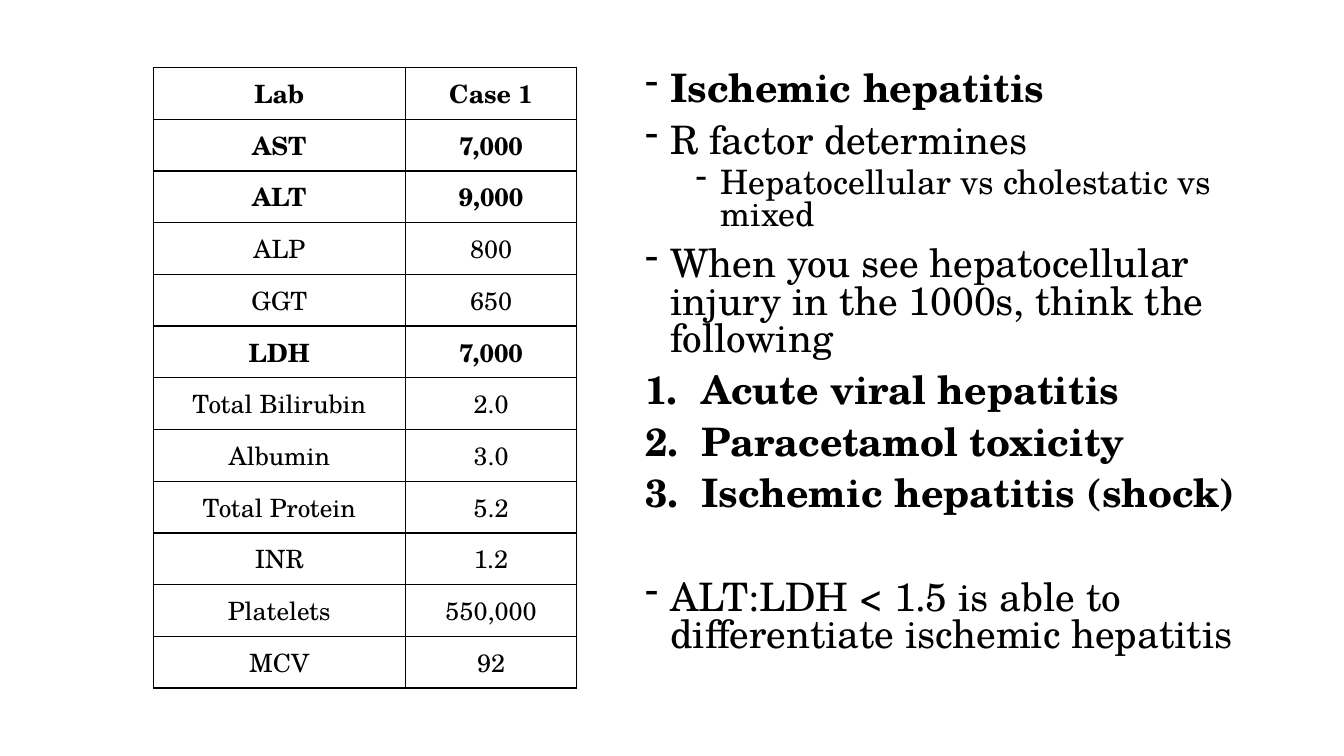
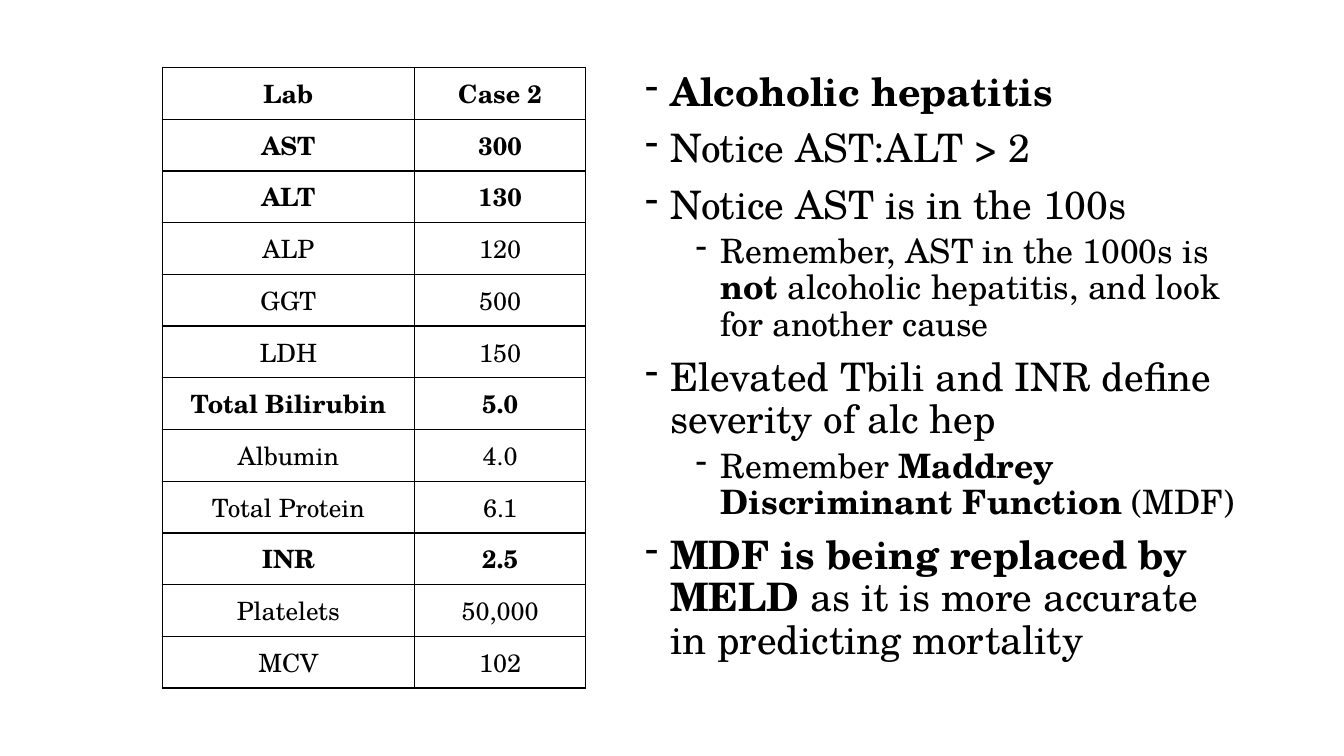
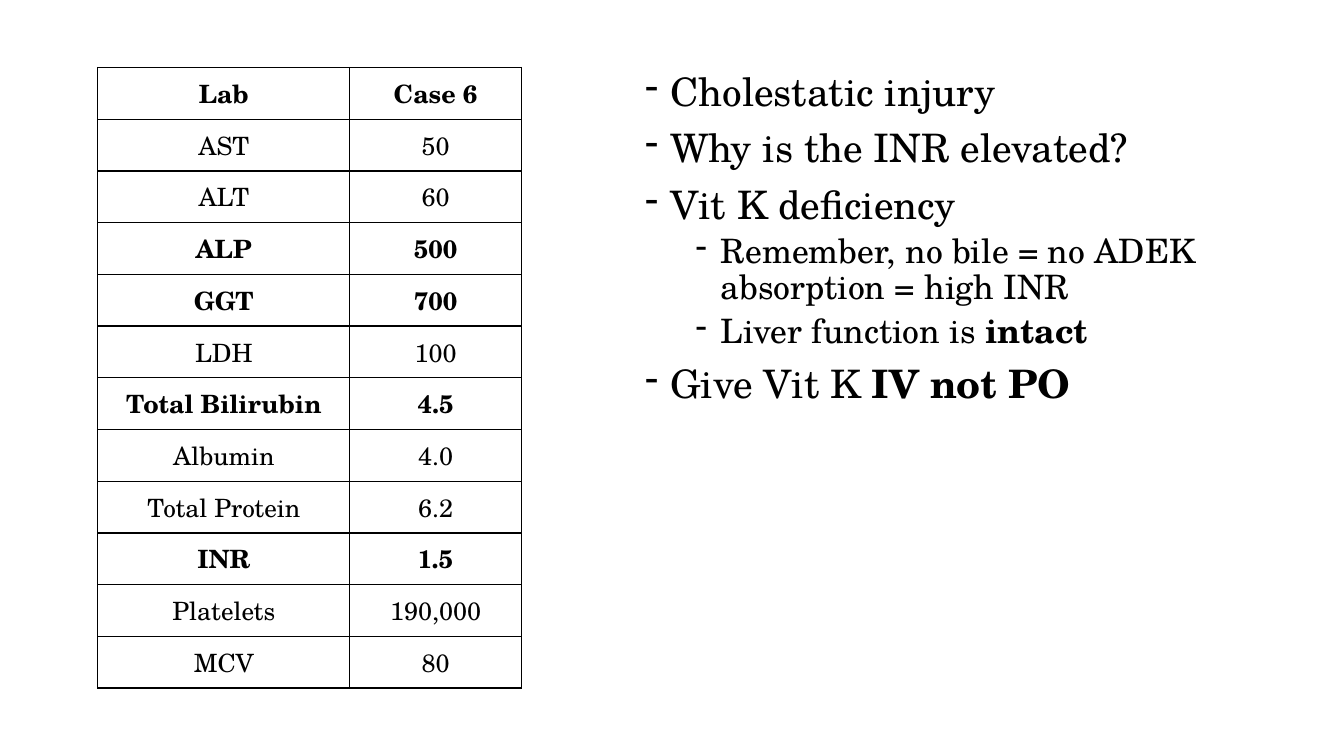
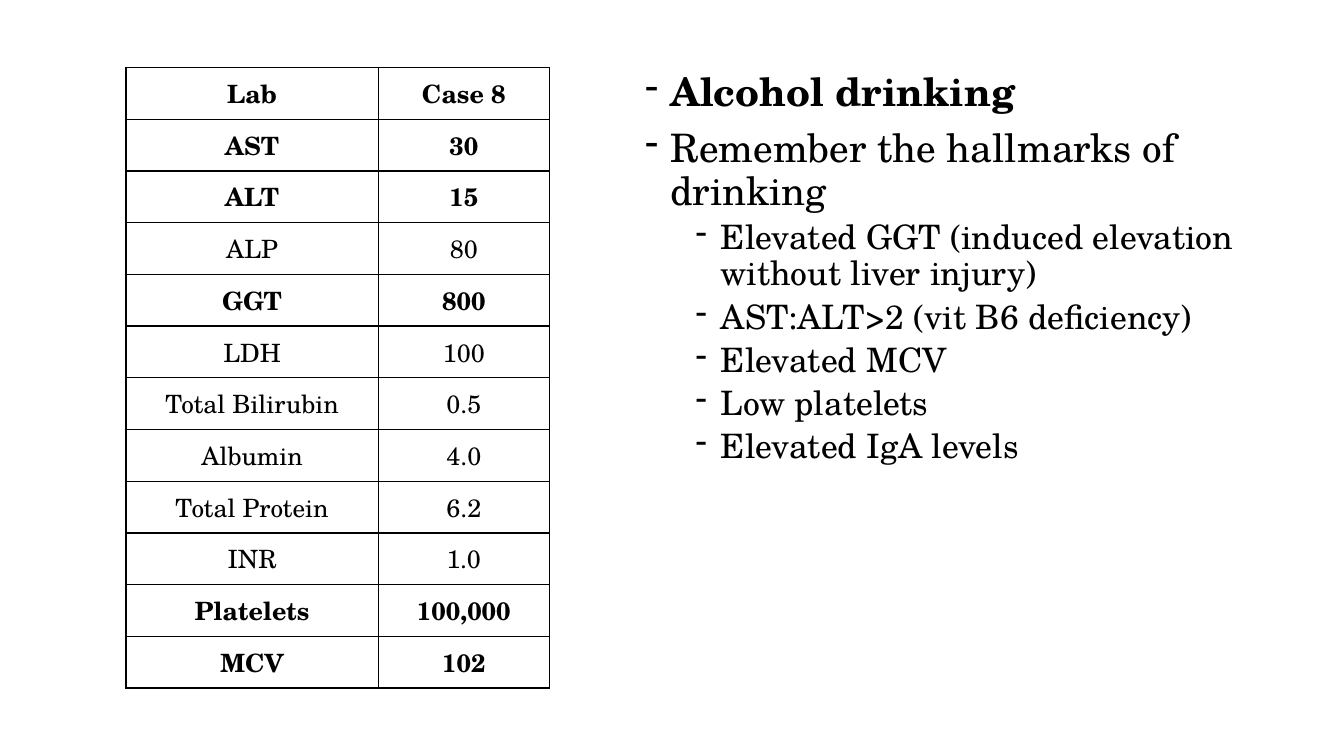
from lxml.etree import SubElement as Sub
from pptx import Presentation
from pptx.dml.color import RGBColor
from pptx.enum.text import MSO_ANCHOR as Anchor, PP_ALIGN as Align
from pptx.oxml import parse_xml
from pptx.oxml.ns import nsdecls, qn
from pptx.util import Inches, Pt

BLACK = RGBColor(0, 0, 0)
FONT = "TeX Gyre Schola"
TOP, HIGH = 0.67, 6.16
COLS = (2.5, 1.7)
LABS = ("Lab", "AST", "ALT", "ALP", "GGT", "LDH", "Total Bilirubin",
        "Albumin", "Total Protein", "INR", "Platelets", "MCV")

# Kind of point: left indent, hang, size, space before, level, bullet
DASH = ("a:buChar", {"char": "-"})
COUNT = ("a:buAutoNum", {"type": "arabicPeriod"})
KINDS = {
    "main": (0.25, 0.25, 28, 10, 0, DASH),
    "sub": (0.75, 0.25, 24, 5, 1, DASH),
    "num": (0.56, 0.56, 28, 10, 0, COUNT),
    "last": (0.25, 0.25, 28, 47, 0, DASH),
}


def write(para, text, size=18, bold=False, align=None):
    """Fill a paragraph; parts between asterisks are bold."""
    para.alignment = align
    for i, part in enumerate(text.split("*")):
        if part:
            run = para.add_run()
            run.text = part
            font = run.font
            font.name, font.size = FONT, Pt(size)
            font.bold = bold or i % 2 == 1
            font.color.rgb = BLACK


def frame(cell):
    """Draw a thin black line on each side of a cell."""
    props = cell._tc.get_or_add_tcPr()
    for i, side in enumerate("LRTB"):
        props.insert(i, parse_xml(
            f'<a:ln{side} {nsdecls("a")} w="12700"><a:solidFill>'
            f'<a:srgbClr val="{BLACK}"/></a:solidFill></a:ln{side}>'))


class Deck:
    def __init__(self):
        self.file = Presentation()
        self.file.slide_width = Inches(13.33)
        self.file.slide_height = Inches(7.5)

    def page(self):
        self.slide = self.file.slides.add_slide(self.file.slide_layouts[6])

    def table(self, left, values, strong):
        shape = self.slide.shapes.add_table(
            len(LABS), len(COLS), Inches(left), Inches(TOP),
            Inches(sum(COLS)), Inches(HIGH))
        grid = shape.table
        grid.first_row = grid.horz_banding = False
        for col, width in zip(grid.columns, COLS):
            col.width = Inches(width)
        for r, pair in enumerate(zip(LABS, values)):
            grid.rows[r].height = Inches(HIGH / len(LABS))
            for c, text in enumerate(pair):
                cell = grid.cell(r, c)
                cell.vertical_anchor = Anchor.MIDDLE
                cell.fill.background()
                frame(cell)
                write(cell.text_frame.paragraphs[0], text,
                      bold=r == 0 or LABS[r] in strong, align=Align.CENTER)

    def points(self, items, lead):
        box = self.slide.shapes.add_textbox(
            Inches(6.3), Inches(TOP), Inches(6.11), Inches(HIGH))
        body = box.text_frame
        body.word_wrap = True
        for i, (kind, text) in enumerate(items):
            left, hang, size, gap, level, (tag, attrs) = KINDS[kind]
            para = body.add_paragraph() if i else body.paragraphs[0]
            para.level = level
            para.line_spacing = lead
            para.space_before = Pt(gap if i else 0)
            props = para._p.get_or_add_pPr()
            props.set("marL", str(Inches(left)))
            props.set("indent", str(-Inches(hang)))
            Sub(props, qn(tag), attrs)
            write(para, text, size=size)


# Each case: table left, values, bold rows, line spacing, points
CASES = [
    (1.52, ("Case 1", "7,000", "9,000", "800", "650", "7,000", "2.0", "3.0",
            "5.2", "1.2", "550,000", "92"),
     ("AST", "ALT", "LDH"), 0.8, [
         ("main", "*Ischemic hepatitis*"),
         ("main", "R factor determines"),
         ("sub", "Hepatocellular vs cholestatic vs mixed"),
         ("main", "When you see hepatocellular injury in the 1000s, "
                  "think the following"),
         ("num", "*Acute viral hepatitis*"),
         ("num", "*Paracetamol toxicity*"),
         ("num", "*Ischemic hepatitis (shock)*"),
         ("last", "ALT:LDH < 1.5 is able to differentiate ischemic "
                  "hepatitis")]),
    (1.61, ("Case 2", "300", "130", "120", "500", "150", "5.0", "4.0",
            "6.1", "2.5", "50,000", "102"),
     ("AST", "ALT", "Total Bilirubin", "INR"), 0.9, [
         ("main", "*Alcoholic hepatitis*"),
         ("main", "Notice AST:ALT > 2"),
         ("main", "Notice AST is in the 100s"),
         ("sub", "Remember, AST in the 1000s is *not* alcoholic hepatitis, "
                 "and look for another cause"),
         ("main", "Elevated Tbili and INR define severity of alc hep"),
         ("sub", "Remember *Maddrey Discriminant Function *(MDF)"),
         ("main", "*MDF is being replaced by MELD *as it is more accurate "
                  "in predicting mortality")]),
    (0.97, ("Case 6", "50", "60", "500", "700", "100", "4.5", "4.0",
            "6.2", "1.5", "190,000", "80"),
     ("ALP", "GGT", "Total Bilirubin", "INR"), 0.9, [
         ("main", "Cholestatic injury"),
         ("main", "Why is the INR elevated?"),
         ("main", "Vit K deficiency"),
         ("sub", "Remember, no bile = no ADEK absorption = high INR"),
         ("sub", "Liver function is *intact*"),
         ("main", "Give Vit K *IV not PO*")]),
    (1.25, ("Case 8", "30", "15", "80", "800", "100", "0.5", "4.0",
            "6.2", "1.0", "100,000", "102"),
     ("AST", "ALT", "GGT", "Platelets", "MCV"), 0.9, [
         ("main", "*Alcohol drinking*"),
         ("main", "Remember the hallmarks of drinking"),
         ("sub", "Elevated GGT (induced elevation without liver injury)"),
         ("sub", "AST:ALT>2 (vit B6 deficiency)"),
         ("sub", "Elevated MCV"),
         ("sub", "Low platelets"),
         ("sub", "Elevated IgA levels")]),
]


def main():
    deck = Deck()
    for left, values, strong, lead, items in CASES:
        deck.page()
        deck.table(left, values, strong)
        deck.points(items, lead)
    deck.file.save("out.pptx")


if __name__ == "__main__":
    main()
